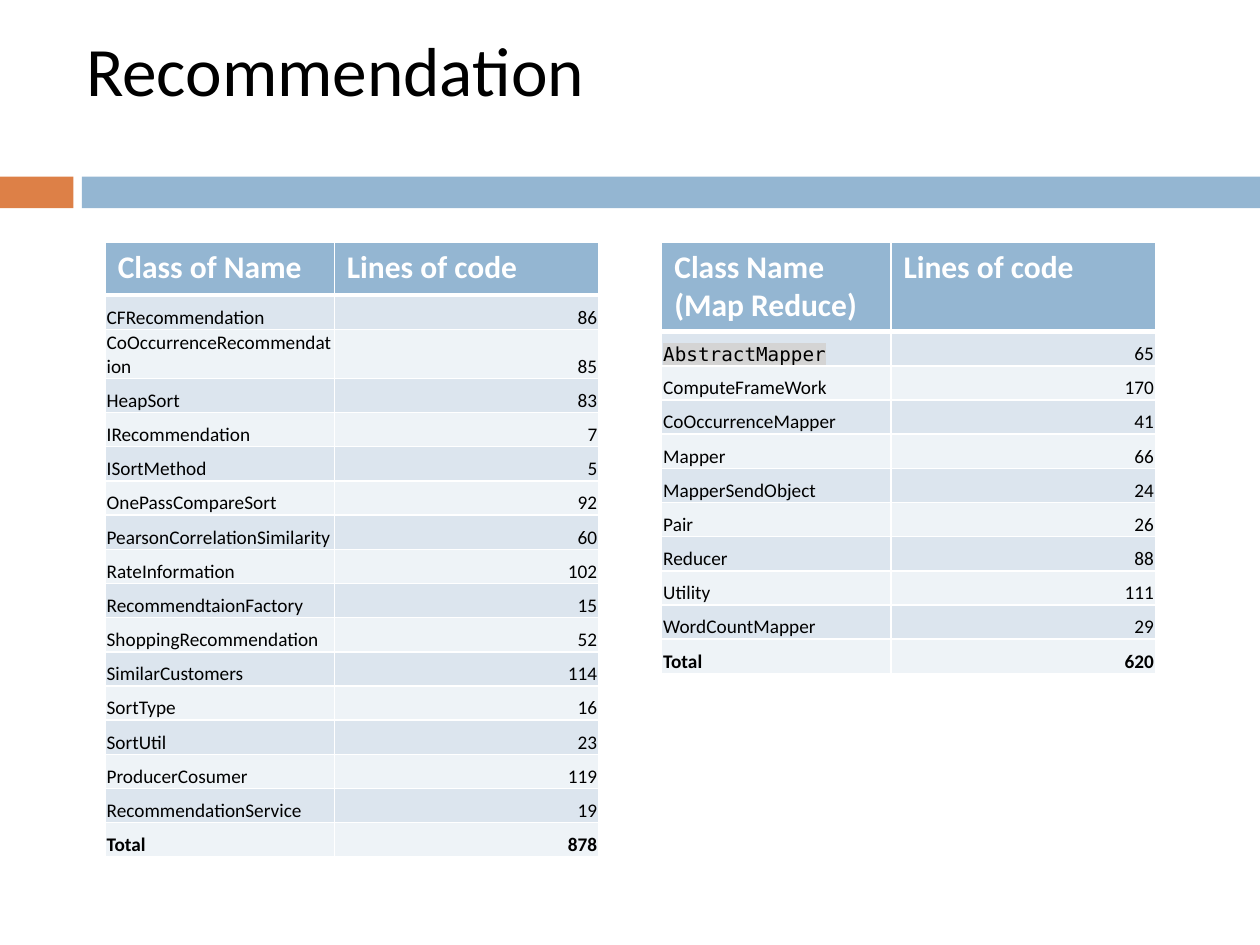
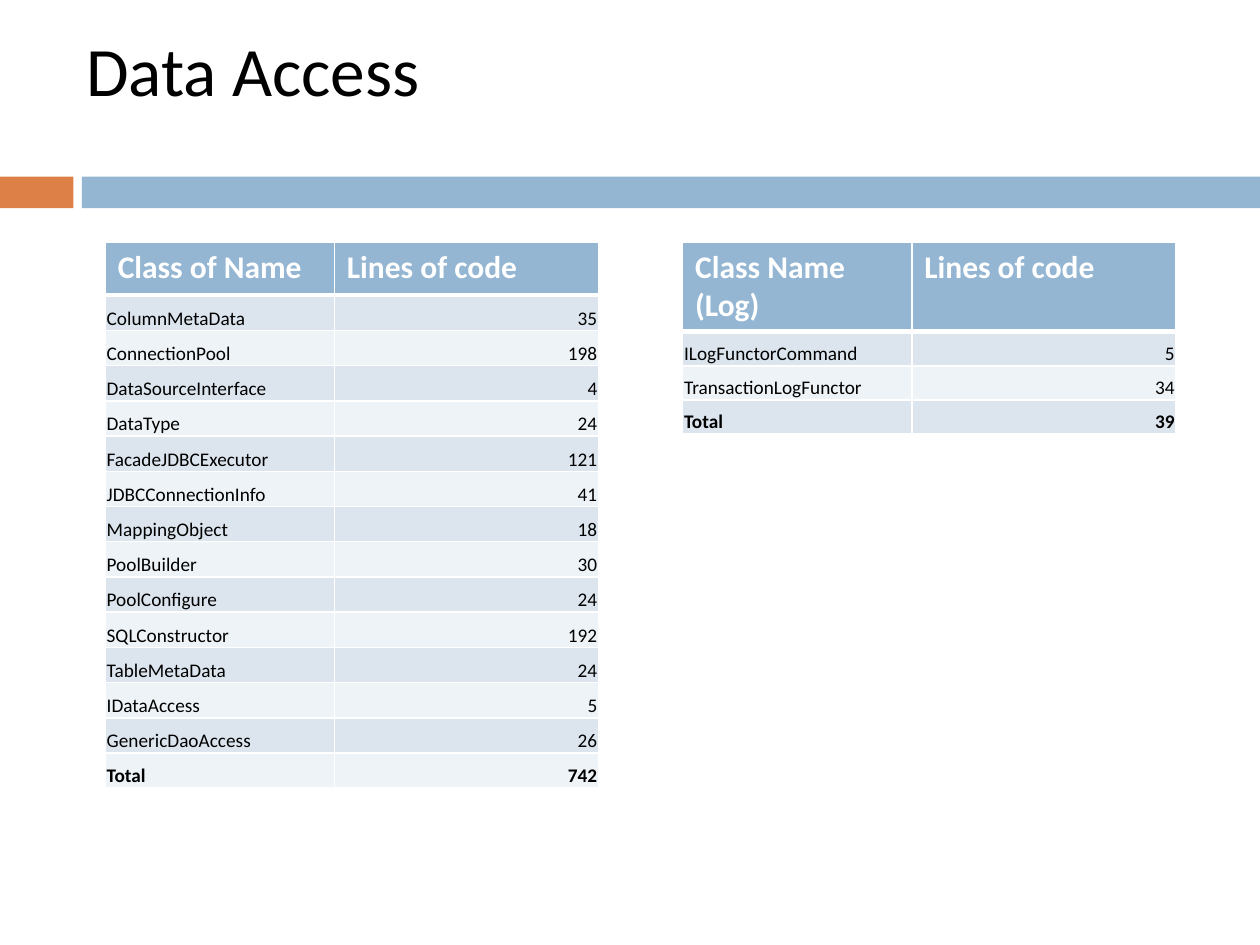
from lxml.etree import SubElement
from pptx import Presentation
from pptx.dml.color import RGBColor
from pptx.enum.shapes import MSO_SHAPE
from pptx.enum.text import MSO_ANCHOR, PP_ALIGN
from pptx.oxml import parse_xml
from pptx.oxml.ns import nsdecls, qn
from pptx.util import Cm, Pt

# Colours and fonts
BLUE = RGBColor(0x94, 0xB6, 0xD2)
ORANGE = RGBColor(0xDD, 0x80, 0x47)
STRIPES = RGBColor(0xDC, 0xE5, 0xEE), RGBColor(0xEE, 0xF3, 0xF7)
WHITE = RGBColor(0xFF, 0xFF, 0xFF)
BLACK = RGBColor(0x00, 0x00, 0x00)
GREY = RGBColor(0xD4, 0xD4, 0xD4)
FONT = "Calibri"
MONO = "DejaVu Sans Mono"

# Table measures
TABLE_TOP = Cm(4.88)
COLUMNS = Cm(4.62), Cm(5.33)
HEADER_HEIGHT = Cm(1.07)
COUNT_HEADING = "Lines of code"

# Class names and line counts
RECOMMENDATION = [
    ("CFRecommendation", 86), ("CoOccurrenceRecommendation", 85),
    ("HeapSort", 83), ("IRecommendation", 7), ("ISortMethod", 5),
    ("OnePassCompareSort", 92), ("PearsonCorrelationSimilarity", 60),
    ("RateInformation", 102), ("RecommendtaionFactory", 15),
    ("ShoppingRecommendation", 52), ("SimilarCustomers", 114),
    ("SortType", 16), ("SortUtil", 23), ("ProducerCosumer", 119),
    ("RecommendationService", 19),
]
MAP_REDUCE = [
    ("AbstractMapper", 65), ("ComputeFrameWork", 170),
    ("CoOccurrenceMapper", 41), ("Mapper", 66), ("MapperSendObject", 24),
    ("Pair", 26), ("Reducer", 88), ("Utility", 111), ("WordCountMapper", 29),
]
DATA_ACCESS = [
    ("ColumnMetaData", 35), ("ConnectionPool", 198),
    ("DataSourceInterface", 4), ("DataType", 24),
    ("FacadeJDBCExecutor", 121), ("JDBCConnectionInfo", 41),
    ("MappingObject", 18), ("PoolBuilder", 30), ("PoolConfigure", 24),
    ("SQLConstructor", 192), ("TableMetaData", 24), ("IDataAccess", 5),
    ("GenericDaoAccess", 26),
]
LOG = [("ILogFunctorCommand", 5), ("TransactionLogFunctor", 34)]


class Deck:
    """Holds the shared style and the current slide."""

    def __init__(self):
        self.prs = Presentation()
        self.prs.slide_width, self.prs.slide_height = Cm(25.4), Cm(19.05)
        self.s = None

    def slide(self, title):
        self.s = self.prs.slides.add_slide(self.prs.slide_layouts[5])
        self.band(0, 1.48, ORANGE)
        self.band(1.65, 23.75, BLUE)
        self.title(title)

    def band(self, left, width, color):
        sp = self.s.shapes.add_shape(
            MSO_SHAPE.RECTANGLE, Cm(left), Cm(3.56), Cm(width), Cm(0.64))
        sp.shadow.inherit = False
        sp.fill.solid()
        sp.fill.fore_color.rgb = color
        sp.line.fill.background()

    def title(self, text):
        sp = self.s.shapes.title
        sp.left, sp.top, sp.width, sp.height = Cm(1.48), Cm(0.53), Cm(22.86), Cm(1.7)
        tf = sp.text_frame
        tf.vertical_anchor = MSO_ANCHOR.MIDDLE
        tf.margin_top = tf.margin_bottom = 0
        p = tf.paragraphs[0]
        p.alignment = PP_ALIGN.LEFT
        self.run(p, text, 39.6, BLACK)

    def run(self, p, text, size, color, bold=False, font=FONT):
        r = p.add_run()
        r.text = text
        r.font.size, r.font.bold, r.font.name = Pt(size), bold, font
        r.font.color.rgb = color
        return r

    def highlight(self, r, color):
        mark = parse_xml(f'<a:highlight {nsdecls("a")}>'
                         f'<a:srgbClr val="{color}"/></a:highlight>')
        r.font._element.find(qn("a:solidFill")).addnext(mark)

    def cell_style(self, cell, fill, bottom=1):
        cell.fill.solid()
        cell.fill.fore_color.rgb = fill
        tcPr = cell._tc.get_or_add_tcPr()
        for i, (side, width) in enumerate(zip("LRTB", (1, 1, 1, bottom))):
            ln = SubElement(tcPr, qn(f"a:ln{side}"), w=str(Pt(width)))
            SubElement(SubElement(ln, qn("a:solidFill")),
                       qn("a:srgbClr"), val=str(WHITE))
            tcPr.insert(i, ln)

    def header_cell(self, cell, lines):
        self.cell_style(cell, BLUE, bottom=3)
        tf = cell.text_frame
        for i, line in enumerate(lines):
            p = tf.add_paragraph() if i else tf.paragraphs[0]
            self.run(p, line, 18, WHITE, bold=True)

    def body_cell(self, cell, text, fill, align, bold, mono):
        self.cell_style(cell, fill)
        cell.vertical_anchor = MSO_ANCHOR.BOTTOM
        cell.margin_left = cell.margin_right = cell.margin_top = Cm(0.03)
        cell.margin_bottom = 0
        p = cell.text_frame.paragraphs[0]
        p.alignment = align
        r = self.run(p, text, 11, BLACK, bold, MONO if mono else FONT)
        if mono:
            self.highlight(r, GREY)

    def table(self, left, heading, counts, row_height=0.69, marked=None):
        rows = counts + [("Total", sum(n for _, n in counts))]
        height = HEADER_HEIGHT + len(rows) * Cm(row_height)
        tbl = self.s.shapes.add_table(
            len(rows) + 1, 2, Cm(left), TABLE_TOP, sum(COLUMNS), height).table
        tbl.horz_banding = False
        for col, width in zip(tbl.columns, COLUMNS):
            col.width = width

        # Header row
        tbl.rows[0].height = HEADER_HEIGHT
        self.header_cell(tbl.cell(0, 0), heading)
        self.header_cell(tbl.cell(0, 1), [COUNT_HEADING])

        # Striped rows, the last one being the total
        for i, (name, count) in enumerate(rows, 1):
            tbl.rows[i].height = Cm(row_height)
            fill = STRIPES[(i - 1) % 2]
            bold = i == len(rows)
            self.body_cell(tbl.cell(i, 0), name, fill, PP_ALIGN.LEFT, bold,
                           name == marked)
            self.body_cell(tbl.cell(i, 1), str(count), fill, PP_ALIGN.RIGHT,
                           bold, False)


def main():
    deck = Deck()

    # Recommendation
    deck.slide("Recommendation")
    deck.table(2.12, ["Class of Name"], RECOMMENDATION)
    deck.table(13.34, ["Class Name", "(Map Reduce)"], MAP_REDUCE,
               marked="AbstractMapper")

    # Data access
    deck.slide("Data Access")
    deck.table(2.12, ["Class of Name"], DATA_ACCESS, row_height=0.71)
    deck.table(13.76, ["Class Name", "(Log)"], LOG)

    deck.prs.save("out.pptx")


if __name__ == "__main__":
    main()
